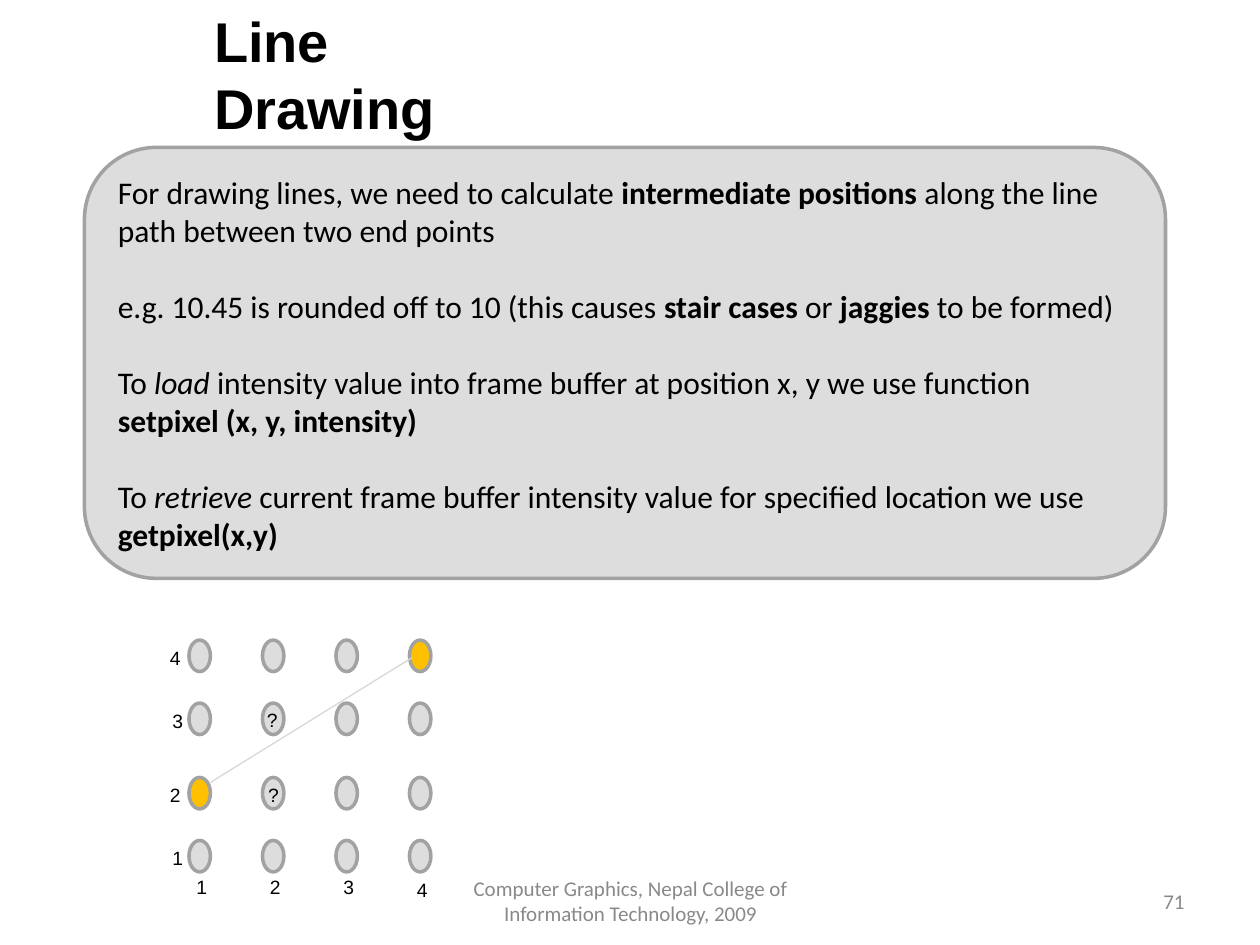
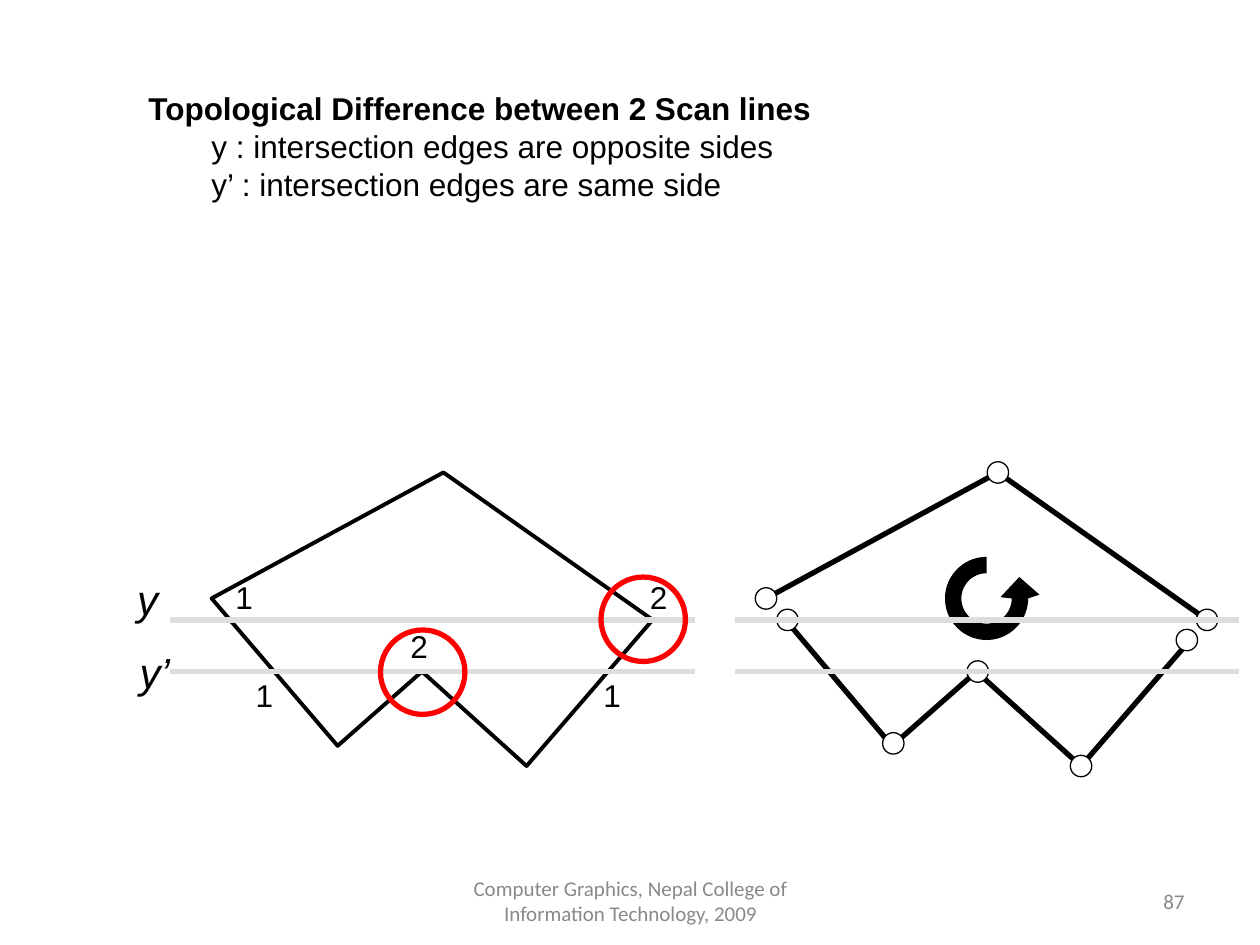
from dataclasses import dataclass
from math import cos, radians, sin
from typing import NamedTuple, Optional, Sequence, Union

from lxml.etree import SubElement
from pptx import Presentation
from pptx.dml.color import RGBColor
from pptx.enum.shapes import MSO_CONNECTOR, MSO_SHAPE
from pptx.enum.text import MSO_ANCHOR, MSO_AUTO_SIZE, PP_ALIGN
from pptx.oxml.ns import qn
from pptx.shapes.autoshape import Shape
from pptx.shapes.shapetree import GroupShapes, SlideShapes
from pptx.slide import Slide
from pptx.text.text import TextFrame
from pptx.util import Inches, Pt

Shapes = Union[SlideShapes, GroupShapes]
Point = tuple[float, float]


@dataclass(frozen=True)
class Theme:
    black: str = "000000"
    white: str = "FFFFFF"
    panel: str = "DDDDDD"
    outline: str = "A2A2A2"
    lit: str = "FFC000"
    guide: str = "D8D8D8"
    alert: str = "FF0000"
    muted: str = "898989"
    heading_font: str = "Arial"
    body_font: str = "Calibri"
    title: int = 32
    axis: int = 24
    body: int = 18
    footer: int = 12
    tick: int = 11


THEME = Theme()


class Run(NamedTuple):
    text: str
    bold: bool = False
    italic: bool = False


class Para(NamedTuple):
    runs: Sequence[Run]
    before: float = 0
    indent: float = 0


class Style(NamedTuple):
    size: int
    font: str = THEME.heading_font
    color: str = THEME.black
    align: PP_ALIGN = PP_ALIGN.LEFT
    anchor: MSO_ANCHOR = MSO_ANCHOR.TOP


class Label(NamedTuple):
    text: str
    x: float
    y: float


class Box(NamedTuple):
    x: float
    y: float
    w: float
    h: float


# Shared drawing functions
def write(tf: TextFrame, paras: Sequence[Para], style: Style) -> None:
    tf.vertical_anchor = style.anchor
    for i, para in enumerate(paras):
        p = tf.paragraphs[0] if i == 0 else tf.add_paragraph()
        p.alignment = style.align
        if para.before:
            p.space_before = Pt(para.before)
        if para.indent:
            p.level = 1
            p._p.get_or_add_pPr().set("marL", str(Inches(para.indent)))
        for run in para.runs:
            r = p.add_run()
            r.text = run.text
            r.font.name, r.font.size = style.font, Pt(style.size)
            r.font.bold, r.font.italic = run.bold, run.italic
            r.font.color.rgb = RGBColor.from_string(style.color)


def add_text(shapes: Shapes, box: Box, paras: Sequence[Para], style: Style,
             wrap: bool = True, grow: bool = False) -> None:
    tf = shapes.add_textbox(*map(Inches, box)).text_frame
    tf.word_wrap = wrap
    if grow:
        tf.auto_size = MSO_AUTO_SIZE.SHAPE_TO_FIT_TEXT
    write(tf, paras, style)


def add_labels(shapes: Shapes, labels: Sequence[Label], w: float, h: float,
               style: Style, italic: bool = False) -> None:
    for label in labels:
        add_text(shapes, Box(label.x, label.y, w, h),
                 [Para([Run(label.text, italic=italic)])], style, wrap=False, grow=True)


def paint(sp: Shape, fill: Optional[str], line: Optional[str], width: float = 0) -> None:
    sp.shadow.inherit = False
    for target, color in ((sp.fill, fill), (sp.line.fill, line)):
        if color is None:
            target.background()
        else:
            target.solid()
            target.fore_color.rgb = RGBColor.from_string(color)
    if line:
        sp.line.width = Pt(width)


def add_shape(shapes: Shapes, kind: MSO_SHAPE, box: Box, fill: Optional[str],
              line: str, width: float) -> Shape:
    sp = shapes.add_shape(kind, *map(Inches, box))
    paint(sp, fill, line, width)
    return sp


def add_line(shapes: Shapes, start: Point, end: Point, color: str, width: float) -> None:
    s = shapes.add_connector(MSO_CONNECTOR.STRAIGHT, *map(Inches, start + end))
    s.line.color.rgb = RGBColor.from_string(color)
    s.line.width = Pt(width)
    SubElement(s._element.spPr, qn("a:effectLst"))


def add_outline(shapes: Shapes, points: Sequence[Point], close: bool, fill: Optional[str],
                line: Optional[str], width: float = 0) -> None:
    corners = [(Inches(x), Inches(y)) for x, y in points]
    builder = shapes.build_freeform(*corners[0])
    builder.add_line_segments(corners[1:], close=close)
    paint(builder.convert_to_shape(), fill, line, width)


def add_footer(slide: Slide, number: int) -> None:
    notes = (
        (Box(3.42, 6.95, 3.17, 0.4), PP_ALIGN.CENTER,
         "Computer Graphics, Nepal College of Information Technology, 2009"),
        (Box(7.17, 6.95, 2.33, 0.4), PP_ALIGN.RIGHT, str(number)),
    )
    for box, align, text in notes:
        add_text(slide.shapes, box, [Para([Run(text)])],
                 Style(THEME.footer, THEME.body_font, THEME.muted, align, MSO_ANCHOR.MIDDLE))


# Line drawing slide
LINE_GAP = 22
EXPLANATION = [
    Para([Run("For drawing lines, we need to calculate "),
          Run("intermediate positions ", bold=True),
          Run("along the line path between two end points")]),
    Para([Run("e.g. 10.45 is rounded off to 10 (this causes "),
          Run("stair cases ", bold=True), Run("or "), Run("jaggies", bold=True),
          Run(" to be formed)")], LINE_GAP),
    Para([Run("To "), Run("load", italic=True),
          Run(" intensity value into frame buffer at position x, y we use function")],
         LINE_GAP),
    Para([Run("setpixel (x, y, intensity)", bold=True)]),
    Para([Run("To "), Run("retrieve", italic=True),
          Run(" current frame buffer intensity value for specified location we use "),
          Run("getpixel(x,y)", bold=True)], LINE_GAP),
]
PIXEL_COLUMNS = [1.5 + i * 7 / 12 for i in range(4)]
PIXEL_ROWS = [5.08, 5.58, 6.17, 6.67]
END_PIXELS = {(0, 2), (3, 0)}


def draw_line_drawing(slide: Slide) -> None:
    shapes = slide.shapes
    panel = add_shape(shapes, MSO_SHAPE.ROUNDED_RECTANGLE, Box(0.67, 1.17, 8.58, 3.42),
                      THEME.panel, THEME.outline, 2)
    panel.text_frame.word_wrap = True
    write(panel.text_frame, EXPLANATION,
          Style(THEME.body, THEME.body_font, anchor=MSO_ANCHOR.MIDDLE))
    add_footer(slide, 71)
    add_text(shapes, Box(1.6, 0, 2.99, 1.17), [Para([Run("Line Drawing", bold=True)])],
             Style(THEME.title), wrap=False, grow=True)

    # Pixel grid with its two end points
    for col, x in enumerate(PIXEL_COLUMNS):
        for row, y in enumerate(PIXEL_ROWS):
            fill = THEME.lit if (col, row) in END_PIXELS else THEME.panel
            add_shape(shapes, MSO_SHAPE.OVAL, Box(x, y, 0.17, 0.25), fill, THEME.outline, 2)
    add_line(shapes, (1.67, 6.21), (3.27, 5.22), THEME.guide, 0.75)

    # Axis numbers and undecided pixels
    ticks = [Label(str(i + 1), x - 0.04, 6.92 if i == 3 else 6.9)
             for i, x in enumerate(PIXEL_COLUMNS)]
    ticks += [Label(str(4 - i), 1.27 if i % 2 else 1.25, y)
              for i, y in enumerate(PIXEL_ROWS)]
    ticks += [Label("?", 2.02, 5.57), Label("?", 2.03, 6.17)]
    add_labels(shapes, ticks, 0.28, 0.29, Style(THEME.tick))


# Scan line slide
TOPIC = [
    Para([Run("Topological Difference between 2 Scan lines", bold=True)]),
    Para([Run("y : intersection edges are opposite sides")], indent=0.5),
    Para([Run("y’ : intersection edges are same side")], indent=0.5),
]
POLYGON = [(1.68, 4.75), (2.68, 5.92), (3.35, 5.33), (4.18, 6.08), (5.18, 4.92), (3.52, 3.75)]
LOWER_CHAIN = [(6.21, 4.89), (7.08, 5.92), (7.75, 5.33), (8.58, 6.08), (9.42, 5.11)]
UPPER_CHAIN = [(9.58, 4.92), (7.92, 3.75), (6.08, 4.75)]
VERTICES = [(6.25, 4.92), (9.42, 5.08), *UPPER_CHAIN, (7.09, 5.9), (7.76, 5.33), (8.58, 6.08)]
VERTEX_SIZE = 0.17
CROSSINGS = [Label("1", 1.93, 5.32), Label("2", 3.16, 4.93), Label("1", 4.69, 5.32),
             Label("1", 1.77, 4.54), Label("2", 5.06, 4.54)]


def add_scan_lines(shapes: Shapes, left: float, right: float) -> None:
    for y in (5.33, 4.92):
        add_line(shapes, (left, y), (right, y), THEME.panel, 3)


def add_turn_arrow(shapes: Shapes) -> None:
    def arc(radius: float) -> list[Point]:
        return [(7.83 + radius * cos(radians(a)), 4.75 + radius * sin(radians(a)))
                for a in range(270, -5, -5)]

    head = [(8.25, 4.72), (8.09, 4.58), (7.94, 4.74)]
    add_outline(shapes, arc(0.33) + head + arc(0.2)[::-1], True, THEME.black, None)


def draw_scan_lines(slide: Slide) -> None:
    shapes = slide.shapes
    add_footer(slide, 87)
    add_text(shapes, Box(1.08, 0.66, 7.92, 1), TOPIC, Style(THEME.body), grow=True)

    # Polygon with crossing counts
    add_outline(shapes, POLYGON, True, None, THEME.black, 2.25)
    add_scan_lines(shapes, 1.35, 5.52)
    axis = Style(THEME.axis, anchor=MSO_ANCHOR.MIDDLE)
    add_labels(shapes, [Label("y", 0.99, 4.5)], 0.36, 0.5, axis, italic=True)
    add_labels(shapes, [Label("y’", 1.01, 5.08)], 0.44, 0.5, axis, italic=True)
    for x, y in ((3.02, 5), (4.77, 4.58)):
        add_shape(shapes, MSO_SHAPE.OVAL, Box(x, y, 0.67, 0.67), None, THEME.alert, 3)
    add_labels(shapes, CROSSINGS, 0.34, 0.4, Style(THEME.body))

    # Polygon split into edge chains
    split = shapes.add_group_shape().shapes
    add_turn_arrow(split)
    for chain in (LOWER_CHAIN, UPPER_CHAIN):
        add_outline(split, chain, False, None, THEME.black, 3)
    for x, y in VERTICES:
        add_shape(split, MSO_SHAPE.OVAL,
                  Box(x - VERTEX_SIZE / 2, y - VERTEX_SIZE / 2, VERTEX_SIZE, VERTEX_SIZE),
                  THEME.white, THEME.black, 0.75)
    add_scan_lines(split, 5.83, 9.83)


def main() -> None:
    prs = Presentation()
    prs.slide_width, prs.slide_height = Inches(10), Inches(7.5)
    for draw in (draw_line_drawing, draw_scan_lines):
        draw(prs.slides.add_slide(prs.slide_layouts[6]))
    prs.save("out.pptx")


if __name__ == "__main__":
    main()
